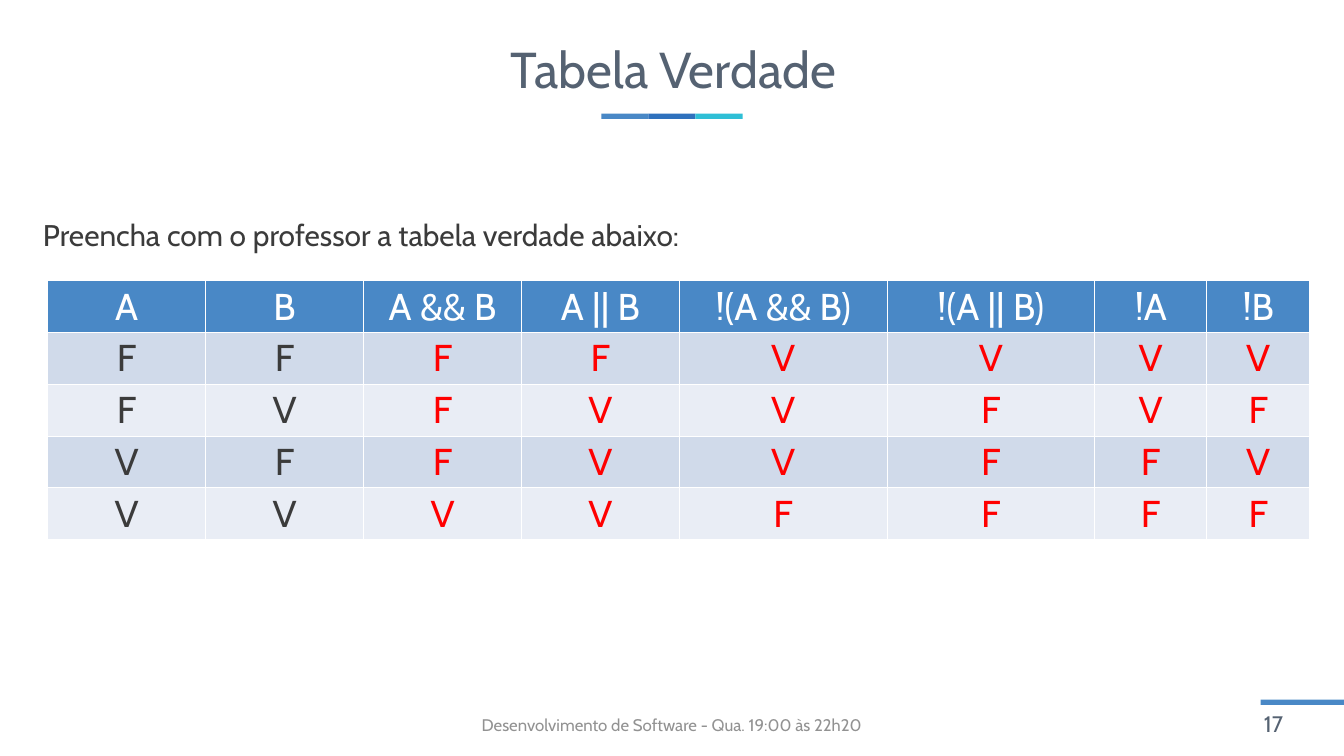
from itertools import product

from pptx import Presentation
from pptx.dml.color import RGBColor
from pptx.enum.shapes import MSO_SHAPE as Shape
from pptx.enum.text import MSO_ANCHOR as Anchor, PP_ALIGN as Align
from pptx.oxml import parse_xml
from pptx.oxml.ns import nsdecls
from pptx.util import Inches, Pt

COLUMNS, ROWS = 20, 11.25
FONT = "Cabin"
BLUE, DEEP_BLUE, CYAN = "4988C6", "2F71BD", "2FBFD6"
SLATE, GRAY, DARK, RED, WHITE = "556272", "929292", "3B3B3B", "FF0000", "FFFFFF"
BANDS = ("D0DAEA", "E9EDF5")

BAR_LEFT, BAR_WIDTH, BAR_HEIGHT = 8.95, 0.7, 0.08
TABLE_LEFT, TABLE_TOP, ROW_HEIGHT = 0.71, 4.18, 0.77
COLUMN_WIDTHS = (2.35, 2.35, 2.35, 2.35, 3.09, 3.09, 1.67, 1.53)
EXPRESSIONS = {
    "A": lambda a, b: a,
    "B": lambda a, b: b,
    "A && B": lambda a, b: a and b,
    "A || B": lambda a, b: a or b,
    "!(A && B)": lambda a, b: not (a and b),
    "!(A || B)": lambda a, b: not (a or b),
    "!A": lambda a, b: not a,
    "!B": lambda a, b: not b,
}
INPUT_COUNT = 2


def color(value):
    return RGBColor.from_string(value)


def place(*cells):
    return [Inches(cell) for cell in cells]


def write(paragraph, text, size, ink, align=Align.LEFT):
    paragraph.alignment = align
    run = paragraph.add_run()
    run.text = text
    run.font.name = FONT
    run.font.size = Pt(size)
    run.font.color.rgb = color(ink)


def add_text(slide, box, text, size, ink, align=Align.LEFT, anchor=Anchor.MIDDLE):
    frame = slide.shapes.add_textbox(*place(*box)).text_frame
    frame.word_wrap = True
    frame.vertical_anchor = anchor
    paragraph = frame.paragraphs[0]
    write(paragraph, text, size, ink, align)
    return paragraph


def add_bar(slide, left, top, width, fill):
    shape = slide.shapes.add_shape(Shape.RECTANGLE, *place(left, top, width, BAR_HEIGHT))
    shape.shadow.inherit = False
    shape.fill.solid()
    shape.fill.fore_color.rgb = color(fill)
    shape.line.fill.background()


def add_borders(cell):
    properties = cell._tc.get_or_add_tcPr()
    for index, side in enumerate(("lnL", "lnR", "lnT", "lnB")):
        border = parse_xml(
            f'<a:{side} {nsdecls("a")} w="{Pt(1)}"><a:solidFill>'
            f'<a:srgbClr val="{WHITE}"/></a:solidFill></a:{side}>'
        )
        properties.insert(index, border)


def fill_cell(cell, text, fill, ink):
    cell.fill.solid()
    cell.fill.fore_color.rgb = color(fill)
    add_borders(cell)
    write(cell.text_frame.paragraphs[0], text, 40, ink, Align.CENTER)


def add_truth_table(slide):
    cases = list(product((False, True), repeat=INPUT_COUNT))
    row_count = len(cases) + 1
    box = place(TABLE_LEFT, TABLE_TOP, sum(COLUMN_WIDTHS), row_count * ROW_HEIGHT)
    table = slide.shapes.add_table(row_count, len(EXPRESSIONS), *box).table
    for column, (heading, evaluate) in enumerate(EXPRESSIONS.items()):
        table.columns[column].width = Inches(COLUMN_WIDTHS[column])
        fill_cell(table.cell(0, column), heading, BLUE, WHITE)
        ink = DARK if column < INPUT_COUNT else RED
        for row, case in enumerate(cases):
            value = "V" if evaluate(*case) else "F"
            fill_cell(table.cell(row + 1, column), value, BANDS[row % 2], ink)


def main():
    presentation = Presentation()
    presentation.slide_width, presentation.slide_height = place(COLUMNS, ROWS)
    slide = presentation.slides.add_slide(presentation.slide_layouts[6])

    for index, fill in enumerate((BLUE, DEEP_BLUE, CYAN)):
        add_bar(slide, BAR_LEFT + index * BAR_WIDTH, 1.69, BAR_WIDTH, fill)
    add_bar(slide, COLUMNS - 1.24, 10.41, 1.24, BLUE)

    title = add_text(slide, (0.54, 0.38, 18.96, 1.4), "Tabela Verdade", 54, SLATE, Align.CENTER)
    title.line_spacing = 0.9
    add_text(slide, (6.62, 10.48, 6.75, 0.6),
             "Desenvolvimento de Software - Qua. 19:00 às 22h20", 18, GRAY, Align.CENTER)
    add_text(slide, (18.71, 10.5, 1.29, 0.53), "17", 24, SLATE)
    add_truth_table(slide)
    add_text(slide, (0.54, 3.18, 11.99, 0.64),
             "Preencha com o professor a tabela verdade abaixo:", 32, DARK, anchor=Anchor.TOP)

    presentation.save("out.pptx")


if __name__ == "__main__":
    main()
